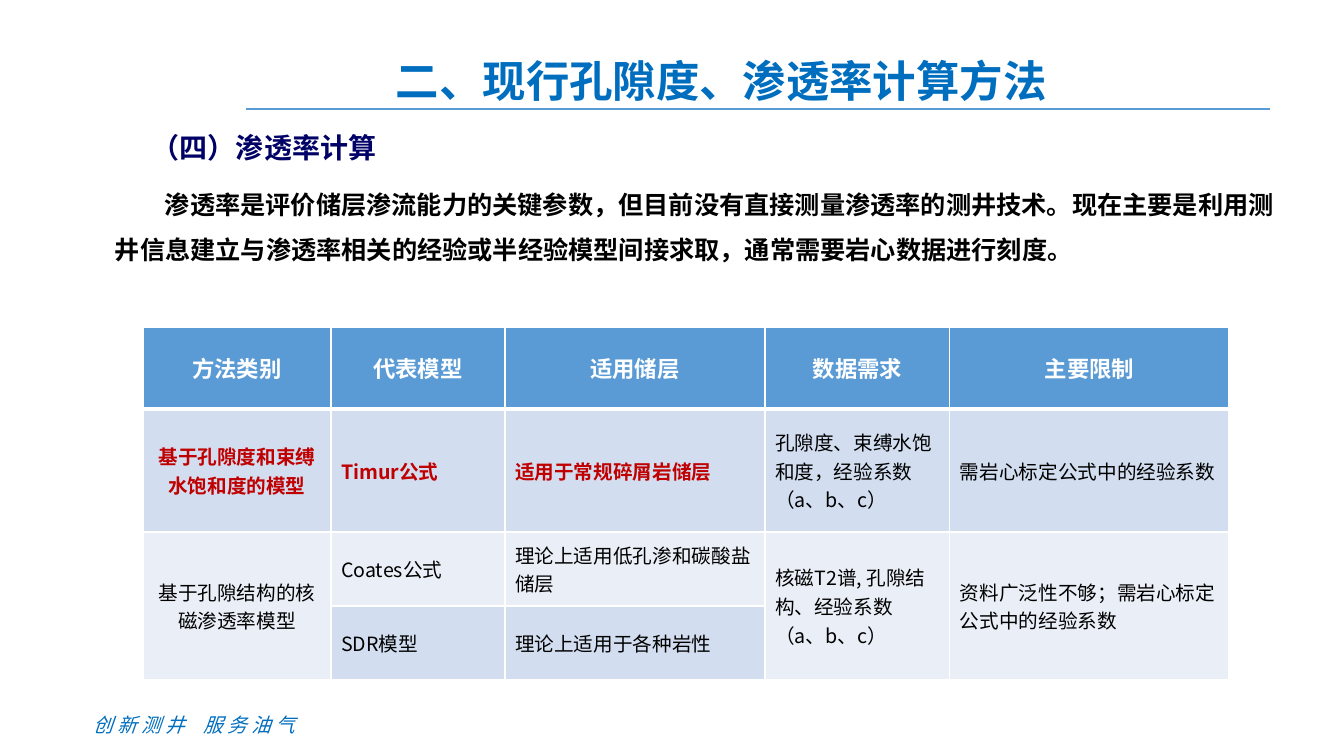
from lxml import etree
from pptx import Presentation
from pptx.dml.color import RGBColor
from pptx.enum.shapes import MSO_CONNECTOR
from pptx.enum.text import MSO_ANCHOR, PP_ALIGN
from pptx.oxml.ns import qn
from pptx.util import Pt

PX = 914400 / 100.8
FONT = "Noto Sans CJK SC"
CENTER, LEFT = PP_ALIGN.CENTER, PP_ALIGN.LEFT
MIDDLE = MSO_ANCHOR.MIDDLE
STRAIGHT = MSO_CONNECTOR.STRAIGHT

WHITE = RGBColor(0xFF, 0xFF, 0xFF)
BLACK = RGBColor(0x00, 0x00, 0x00)
BLUE = RGBColor(0x00, 0x6E, 0xBE)
NAVY = RGBColor(0x00, 0x00, 0x66)
RED = RGBColor(0xC0, 0x00, 0x00)
HEADER_FILL = RGBColor(0x5B, 0x9B, 0xD5)
DARK_BAND = RGBColor(0xD2, 0xDE, 0xEF)
LIGHT_BAND = RGBColor(0xEA, 0xEF, 0xF7)


def px(count):
    return round(count * PX)


def add_span(para, text, size, color, bold=False, latin=FONT):
    span = para.add_run()
    span.text = text
    span.font.size = Pt(size)
    span.font.bold = bold
    span.font.color.rgb = color
    span.font.name = latin
    etree.SubElement(span.font._element, qn("a:ea"), typeface=FONT)
    return span


deck = Presentation()
deck.slide_width, deck.slide_height = px(1344), px(756)
page = deck.slides.add_slide(deck.slide_layouts[6])

# Rule under the title
rule = page.shapes.add_connector(STRAIGHT, px(246), px(109), px(1270), px(109))
rule.line.color.rgb = HEADER_FILL
rule.line.width = Pt(1.5)
etree.SubElement(rule._element.spPr, qn("a:effectLst"))

# Text boxes: place, line spacing, first-line indent, text, size, colour, bold, latin font
texts = [
    ((386, 10, 853, 90), 1.75, 0, "二、现行孔隙度、渗透率计算方法", 31, BLUE, True, "Arial"),
    ((142, 109, 571, 55), 1.5, 0, "（四）渗透率计算", 20, NAVY, True, FONT),
    ((105, 169, 1202, 97), 1.5, 50,
     "渗透率是评价储层渗流能力的关键参数，但目前没有直接测量渗透率的测井技术。"
     "现在主要是利用测井信息建立与渗透率相关的经验或半经验模型间接求取，"
     "通常需要岩心数据进行刻度。", 18, BLACK, True, FONT),
]
for place, spacing, indent, *style in texts:
    box = page.shapes.add_textbox(*map(px, place))
    box.text_frame.word_wrap = True
    para = box.text_frame.paragraphs[0]
    para.line_spacing = spacing
    if indent:
        para._p.get_or_add_pPr().set("indent", str(px(indent)))
    add_span(para, *style)

# Footer motto, with a widened space between its halves
box = page.shapes.add_textbox(px(84), px(708), px(269), px(34))
box.text_frame.word_wrap = True
para = box.text_frame.paragraphs[0]
for text, tracking in [("创 新 测 井", 0), (" ", 940), ("服 务 油 气", 0)]:
    span = add_span(para, text, 14, BLUE)
    span.font.italic = True
    if tracking:
        span.font._element.set("spc", str(tracking))

# Table of permeability models
rows = [
    ["方法类别", "代表模型", "适用储层", "数据需求", "主要限制"],
    ["基于孔隙度和束缚水饱和度的模型", "Timur公式", "适用于常规碎屑岩储层",
     "孔隙度、束缚水饱和度，经验系数（a、b、c）", "需岩心标定公式中的经验系数"],
    ["基于孔隙结构的核磁渗透率模型", "Coates公式", "理论上适用低孔渗和碳酸盐储层",
     "核磁T2谱, 孔隙结构、经验系数（a、b、c）",
     "资料广泛性不够；需岩心标定公式中的经验系数"],
    ["", "SDR模型", "理论上适用于各种岩性", "", ""],
]
widths = [188, 174, 260, 185, 279]
heights = [82, 123, 74, 74]
fills = [HEADER_FILL, DARK_BAND, LIGHT_BAND, DARK_BAND]

frame = page.shapes.add_table(len(rows), len(widths), px(143), px(327),
                              px(sum(widths)), px(sum(heights)))
table = frame.table
for column, width in zip(table.columns, widths):
    column.width = px(width)
for row, height in zip(table.rows, heights):
    row.height = px(height)
for column in (0, 3, 4):
    table.cell(2, column).merge(table.cell(3, column))

for r, row in enumerate(rows):
    for c, text in enumerate(row):
        cell = table.cell(r, c)
        cell.vertical_anchor = MIDDLE
        # White borders, thicker below the header
        thick_side = {0: "lnB", 1: "lnT"}.get(r)
        for side in ("lnL", "lnR", "lnT", "lnB"):
            width = Pt(3 if side == thick_side else 1)
            line = etree.SubElement(cell._tc.get_or_add_tcPr(), qn("a:" + side), w=str(width))
            paint = etree.SubElement(line, qn("a:solidFill"))
            etree.SubElement(paint, qn("a:srgbClr"), val=str(WHITE))
        cell.fill.solid()
        cell.fill.fore_color.rgb = LIGHT_BAND if cell.is_spanned else fills[r]
        if not text:
            continue
        para = cell.text_frame.paragraphs[0]
        para.alignment = CENTER if r == 0 or c == 0 else LEFT
        if r == 0:
            add_span(para, text, 16, WHITE, True)
        elif r == 1 and c < 3:
            add_span(para, text, 14, RED, True)
        else:
            add_span(para, text, 14, BLACK)

deck.save("out.pptx")
